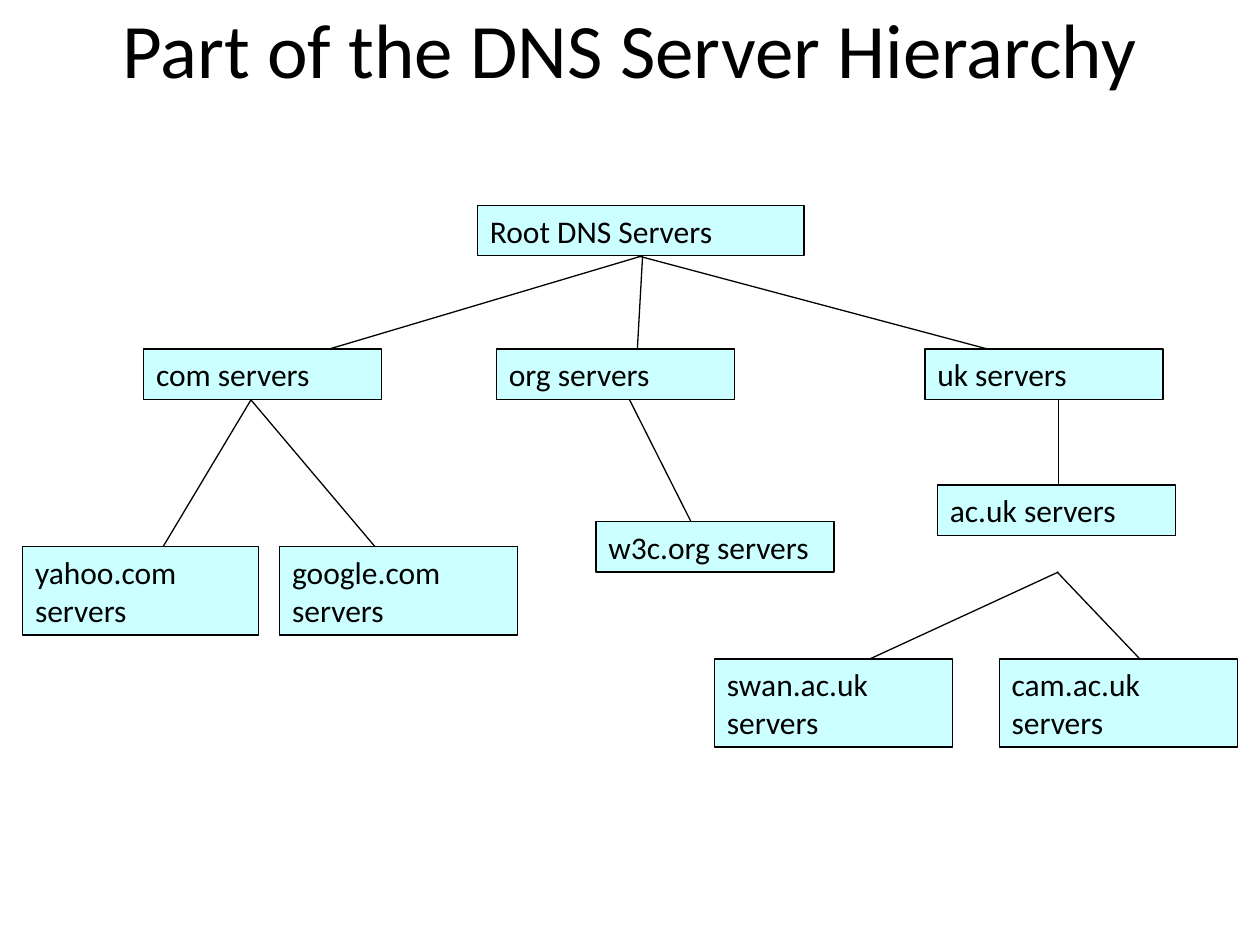
from lxml.etree import SubElement
from pptx import Presentation
from pptx.dml.color import RGBColor as Color
from pptx.enum.shapes import MSO_CONNECTOR as Connector, MSO_SHAPE as Shape
from pptx.enum.text import MSO_ANCHOR as Anchor, PP_ALIGN as Align
from pptx.oxml.ns import qn
from pptx.util import Inches, Pt

COLORS = {"ink": "000000", "server": "CCFFFF"}
FONT = "Calibri"

presentation = Presentation()
presentation.slide_width = Inches(10)
presentation.slide_height = Inches(7.5)
slide = presentation.slides.add_slide(presentation.slide_layouts[6])
COLUMN = presentation.slide_width / 100
ROW = presentation.slide_height / 75


def place(*cells):
    return [round(cell * unit) for cell, unit in zip(cells, (COLUMN, ROW) * 2)]


def write(shape, text, size, align, anchor):
    frame = shape.text_frame
    frame.text = text
    frame.word_wrap = True
    frame.vertical_anchor = anchor
    paragraph = frame.paragraphs[0]
    paragraph.alignment = align
    font = paragraph.runs[0].font
    font.name = FONT
    font.size = Pt(size)
    font.color.rgb = Color.from_string(COLORS["ink"])


title = slide.shapes.add_textbox(*place(5, -2.5, 90, 12.5))
write(title, "Part of the DNS Server Hierarchy", 44, Align.CENTER, Anchor.MIDDLE)

ROOT_END, TOP_START, TOP_END = 20.3, 29.2, 31.6
links = [
    (51, ROOT_END, 21.1, TOP_START),
    (51, ROOT_END, 50.5, TOP_START),
    (50.6, ROOT_END, 84, TOP_START),
    (20, TOP_END, 11.5, 45.8),
    (19.8, TOP_END, 31.8, 45.8),
    (49.9, TOP_END, 55.9, 43.5),
    (84, TOP_END, 84, 39.9),
    (84, 45.4, 66, 53.7),
    (83.9, 45.4, 91.8, 53.7),
]
for link in links:
    connector = slide.shapes.add_connector(Connector.STRAIGHT, *place(*link))
    connector.line.color.rgb = Color.from_string(COLORS["ink"])
    connector.line.width = Pt(0.75)
    SubElement(connector._element.spPr, qn("a:effectLst"))

WIDE, NORMAL, NARROW = 25.9, 18.9, 18.7
ONE_LINE, TWO_LINES = 4, 7
servers = [
    ("Root DNS Servers", 37.9, 16.3, WIDE, ONE_LINE),
    ("com servers", 11.4, 27.7, NORMAL, ONE_LINE),
    ("org servers", 39.4, 27.7, NORMAL, ONE_LINE),
    ("uk servers", 73.4, 27.7, NORMAL, ONE_LINE),
    ("yahoo.com servers", 1.8, 43.4, NARROW, TWO_LINES),
    ("google.com servers", 22.2, 43.4, NORMAL, TWO_LINES),
    ("ac.uk servers", 74.4, 38.5, NORMAL, ONE_LINE),
    ("swan.ac.uk servers", 56.7, 52.3, NORMAL, TWO_LINES),
    ("cam.ac.uk servers", 79.3, 52.3, NORMAL, TWO_LINES),
    ("w3c.org servers", 47.3, 41.4, NORMAL, ONE_LINE),
]
for name, *cells in servers:
    server = slide.shapes.add_shape(Shape.RECTANGLE, *place(*cells))
    server.shadow.inherit = False
    server.fill.solid()
    server.fill.fore_color.rgb = Color.from_string(COLORS["server"])
    server.line.color.rgb = Color.from_string(COLORS["ink"])
    server.line.width = Pt(0.75)
    write(server, name, 18, Align.LEFT, Anchor.TOP)

presentation.save("out.pptx")
